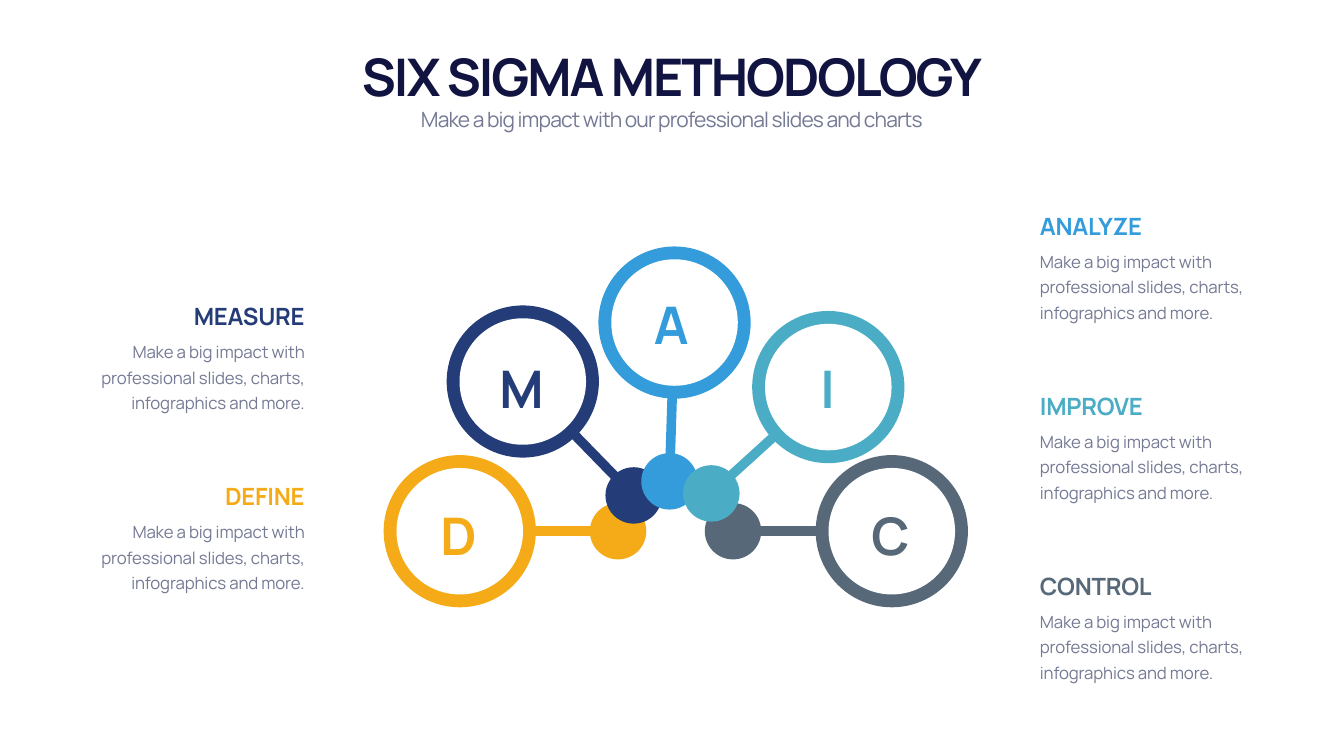
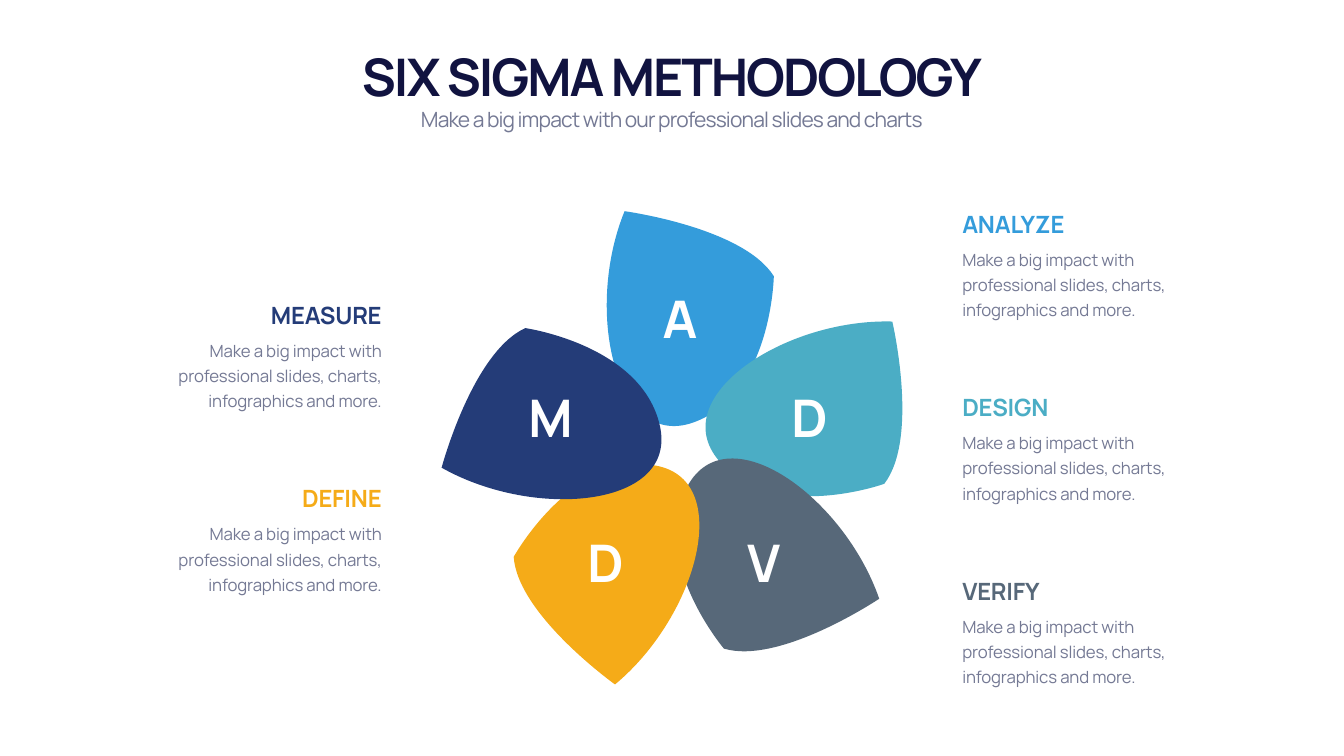
from math import dist

from lxml import etree
from pptx import Presentation
from pptx.dml.color import RGBColor
from pptx.enum.shapes import MSO_SHAPE
from pptx.enum.text import MSO_ANCHOR, MSO_AUTO_SIZE, PP_ALIGN
from pptx.oxml.ns import qn
from pptx.util import Pt

OVAL = MSO_SHAPE.OVAL
TOP, MIDDLE, BOTTOM = MSO_ANCHOR.TOP, MSO_ANCHOR.MIDDLE, MSO_ANCHOR.BOTTOM
LEFT, CENTER, RIGHT = PP_ALIGN.LEFT, PP_ALIGN.CENTER, PP_ALIGN.RIGHT
FIT_SHAPE = MSO_AUTO_SIZE.SHAPE_TO_FIT_TEXT

PX = 9144  # EMU per px, 100 px to the inch
SLIDE_WIDTH, SLIDE_HEIGHT = 2666, 1500
FONT = "Manrope"
COLORS = {
    "title": "111340",
    "body": "747994",
    "white": "FFFFFF",
    "orange": "F5AB18",
    "navy": "243C78",
    "blue": "349CDB",
    "teal": "4BADC5",
    "slate": "576879",
}

TITLE = "SIX SIGMA METHODOLOGY"
SUBTITLE = "Make a big impact with our professional slides and charts"
CAPTION = "Make a big impact with professional slides, charts, infographics and more."

# Size in pt and letter spacing in hundredths of a pt
DISPLAY = {"size": 74, "spacing": -290, "bold": True}
SUBHEAD = {"size": 30, "spacing": -120}
HEADING = {"size": 34, "spacing": -30, "bold": True}
BODY = {"size": 24, "spacing": -20, "line_spacing": 36}

# Row step, offset of the caption below its heading's top, and letter box width
SPOKE_STEP, SPOKE_OFFSET, SPOKE_LETTER_WIDTH = 357, 71, 199
PETAL_STEP, PETAL_OFFSET, PETAL_LETTER_WIDTH = 364, 70, 192
LETTER_HEIGHT = 135

# Each column: left edge, first top, alignment, headings from top to bottom
SPOKE_COLUMNS = [
    (164, 593, RIGHT, [("MEASURE", "navy"), ("DEFINE", "orange")]),
    (2053, 414, LEFT, [("ANALYZE", "blue"), ("IMPROVE", "teal"), ("CONTROL", "slate")]),
]
PETAL_COLUMNS = [
    (317, 591, RIGHT, [("MEASURE", "navy"), ("DEFINE", "orange")]),
    (1899, 410, LEFT, [("ANALYZE", "blue"), ("DESIGN", "teal"), ("VERIFY", "slate")]),
]

# Letter, colour, ring centre, hub centre, letter centre, from back to front
SPOKES = [
    ("C", "slate", (1769, 1054), (1454, 1054), (1766, 1060)),
    ("D", "orange", (912, 1054), (1226, 1054), (909, 1060)),
    ("M", "navy", (1037, 757), (1257, 983), (1034, 769)),
    ("A", "blue", (1338, 640), (1328, 955), (1331, 641)),
    ("I", "teal", (1643, 768), (1411, 979), (1641, 769)),
]
RING_DIAMETER, HOLE_DIAMETER, HUB_DIAMETER = 302, 251, 112
STEM_WIDTH = 19
STEM_REACH = 136  # distance from the ring's centre at which the stem stops

# Letter, colour, letter centre, then the outline:
# tip, bend, shoulder, bend, root, and the two bends back to the tip
PETALS = [
    ("A", "blue", (1349, 630),
     [(1239, 419), (1474, 451), (1535, 548), (1531, 782),
      (1376, 838), (1221, 894), (1158, 617)]),
    ("D", "teal", (1606, 826),
     [(1770, 638), (1824, 869), (1754, 960), (1534, 1039),
      (1426, 914), (1319, 788), (1556, 632)]),
    ("V", "slate", (1515, 1115),
     [(1744, 1188), (1547, 1320), (1436, 1287), (1285, 1109),
      (1364, 964), (1444, 820), (1674, 986)]),
    ("D", "orange", (1201, 1114),
     [(1220, 1358), (1027, 1220), (1019, 1105), (1132, 900),
      (1296, 923), (1459, 947), (1385, 1221)]),
    ("M", "navy", (1092, 826),
     [(876, 928), (937, 699), (1042, 651), (1273, 684),
      (1309, 845), (1345, 1006), (1062, 1033)]),
]


def rgb(color):
    return RGBColor.from_string(COLORS[color])


def add_text(slide, text, box, color, style, align=CENTER, anchor=TOP):
    textbox = slide.shapes.add_textbox(*(length * PX for length in box))
    frame = textbox.text_frame
    frame.word_wrap = True
    frame.auto_size = FIT_SHAPE
    frame.vertical_anchor = anchor
    paragraph = frame.paragraphs[0]
    paragraph.alignment = align
    if "line_spacing" in style:
        paragraph.line_spacing = Pt(style["line_spacing"])
    run = paragraph.add_run()
    run.text = text
    run.font.name = FONT
    run.font.size = Pt(style["size"])
    run.font.bold = style.get("bold", False)
    run.font.color.rgb = rgb(color)
    run._r.get_or_add_rPr().set("spc", str(style["spacing"]))


def add_letter(slide, letter, center, width, color):
    left, top = center[0] - width // 2, center[1] - LETTER_HEIGHT // 2
    box = (left, top, width, LETTER_HEIGHT)
    add_text(slide, letter, box, color, DISPLAY, anchor=MIDDLE)


def paint(shape, color):
    shape.shadow.inherit = False
    shape.fill.solid()
    shape.fill.fore_color.rgb = rgb(color)
    shape.line.fill.background()


def add_circle(shapes, center, diameter, color):
    left, top = (round((value - diameter / 2) * PX) for value in center)
    circle = shapes.add_shape(OVAL, left, top, diameter * PX, diameter * PX)
    paint(circle, color)


def add_outline(shapes, points, color):
    """Draw a filled, closed shape through the points."""
    scaled = [(round(x * PX), round(y * PX)) for x, y in points]
    builder = shapes.build_freeform(*scaled[0])
    builder.add_line_segments(scaled[1:], close=True)
    shape = builder.convert_to_shape()
    paint(shape, color)
    return shape


def add_stem(shapes, hub, ring, color):
    """Draw a thick bar from the hub's centre into the ring's band."""
    length = dist(hub, ring)
    along_x, along_y = ((stop - start) / length for start, stop in zip(hub, ring))
    reach = length - STEM_REACH
    end = (hub[0] + along_x * reach, hub[1] + along_y * reach)
    side_x, side_y = -along_y * STEM_WIDTH / 2, along_x * STEM_WIDTH / 2
    corners = [
        (x + sign * side_x, y + sign * side_y)
        for (x, y), sign in ((hub, 1), (hub, -1), (end, -1), (end, 1))
    ]
    add_outline(shapes, corners, color)


def bend_segments(shape):
    """Turn each three line segments of a freeform into one cubic curve."""
    lines = list(shape._element.spPr.iter(qn("a:lnTo")))
    for index in range(0, len(lines), 3):
        curve = etree.Element(qn("a:cubicBezTo"))
        lines[index].addprevious(curve)
        for line in lines[index:index + 3]:
            curve.append(line[0])
            line.getparent().remove(line)


def add_petal(slide, outline, color):
    tip, tip_bend, shoulder, shoulder_bend, root, root_bend, return_bend = outline
    points = [
        tip,
        tip, tip_bend, shoulder,
        shoulder, shoulder_bend, root,
        root_bend, return_bend, tip,
    ]
    bend_segments(add_outline(slide.shapes, points, color))


def add_titles(slide):
    add_text(slide, TITLE, (166, 82, 2333, 135), "title", DISPLAY, anchor=BOTTOM)
    add_text(slide, SUBTITLE, (166, 207, 2333, 61), "body", SUBHEAD)


def add_captions(slide, columns, step, offset):
    for left, first_top, align, headings in columns:
        for row, (heading, color) in enumerate(headings):
            top = first_top + row * step
            add_text(slide, heading, (left, top, 450, 67), color, HEADING, align, BOTTOM)
            add_text(slide, CAPTION, (left, top + offset, 450, 159), "body", BODY, align)


def build_spoke_slide(slide):
    for _, color, ring, hub, _ in SPOKES:
        shapes = slide.shapes.add_group_shape().shapes
        add_circle(shapes, ring, RING_DIAMETER, color)
        add_circle(shapes, ring, HOLE_DIAMETER, "white")
        add_stem(shapes, hub, ring, color)
        add_circle(shapes, hub, HUB_DIAMETER, color)
    add_titles(slide)
    add_captions(slide, SPOKE_COLUMNS, SPOKE_STEP, SPOKE_OFFSET)
    for letter, color, _, _, center in SPOKES:
        add_letter(slide, letter, center, SPOKE_LETTER_WIDTH, color)


def build_petal_slide(slide):
    for _, color, _, outline in PETALS:
        add_petal(slide, outline, color)
    add_titles(slide)
    add_captions(slide, PETAL_COLUMNS, PETAL_STEP, PETAL_OFFSET)
    for letter, _, center, _ in PETALS:
        add_letter(slide, letter, center, PETAL_LETTER_WIDTH, "white")


def main():
    presentation = Presentation()
    presentation.slide_width = SLIDE_WIDTH * PX
    presentation.slide_height = SLIDE_HEIGHT * PX
    blank = presentation.slide_layouts[6]
    for build in (build_spoke_slide, build_petal_slide):
        build(presentation.slides.add_slide(blank))
    presentation.save("out.pptx")


if __name__ == "__main__":
    main()
